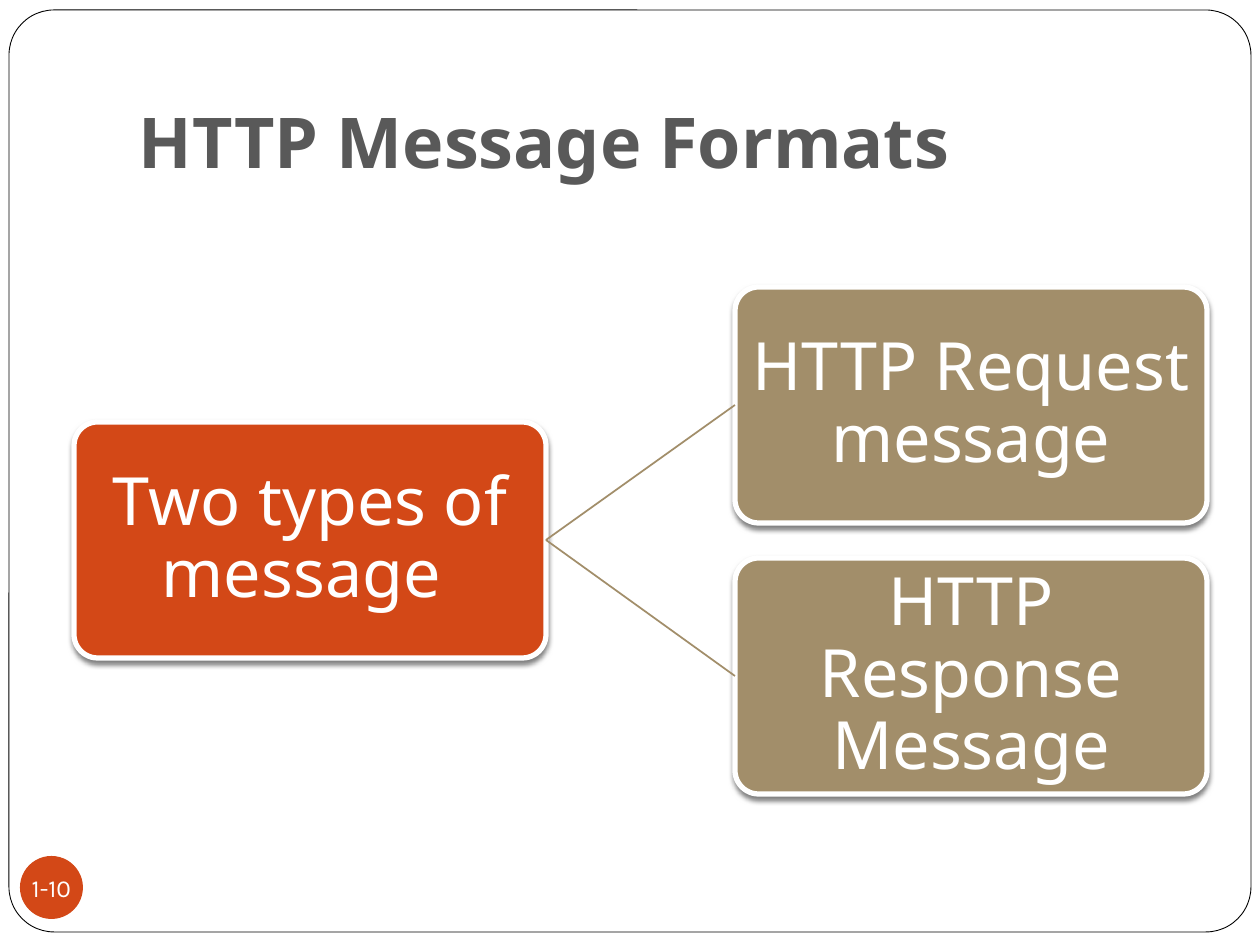
from lxml.etree import SubElement
from pptx import Presentation
from pptx.dml.color import RGBColor
from pptx.enum.shapes import MSO_CONNECTOR, MSO_SHAPE
from pptx.enum.text import MSO_ANCHOR, PP_ALIGN
from pptx.oxml.ns import qn
from pptx.util import Emu, Inches, Pt

EMU_PER_PX = 914400 / 126
WHITE, ORANGE, TAN, GRAY, BLACK = "FFFFFF", "D34817", "A28E6A", "595959", "000000"
RIGHT_SIDE, LEFT_SIDE = 3, 1


def px(length):
    return Emu(round(length * EMU_PER_PX))


def color(value):
    return RGBColor.from_string(value)


class SlideBuilder:
    font = "Noto Sans"
    number_font = "Karla"

    def __init__(self, slide):
        self.slide = slide

    def set_text(self, shape, text, size, text_color, inset, anchor=MSO_ANCHOR.MIDDLE,
                 align=PP_ALIGN.CENTER, font=None, bold=False, spacing=1.0, wrap=True):
        frame = shape.text_frame
        frame.word_wrap = wrap
        frame.vertical_anchor = anchor
        frame.margin_left = frame.margin_right = px(inset)
        frame.margin_top = frame.margin_bottom = px(inset)
        paragraph = frame.paragraphs[0]
        paragraph.text = text
        paragraph.alignment = align
        paragraph.line_spacing = spacing
        paragraph.font.name = font or self.font
        paragraph.font.size = Pt(size)
        paragraph.font.bold = bold
        paragraph.font.color.rgb = color(text_color)

    def shape(self, kind, box, fill, line=None, line_width=0, corner=None):
        shape = self.slide.shapes.add_shape(kind, *map(px, box))
        shape.shadow.inherit = False
        shape.fill.solid()
        shape.fill.fore_color.rgb = color(fill)
        if line:
            shape.line.color.rgb = color(line)
            shape.line.width = Pt(line_width)
        else:
            shape.line.fill.background()
        if corner is not None:
            shape.adjustments[0] = corner
        return shape

    def title(self, text, box):
        shape = self.slide.shapes.add_textbox(*map(px, box))
        self.set_text(shape, text, 40, GRAY, 13, MSO_ANCHOR.BOTTOM, PP_ALIGN.LEFT, bold=True)

    def node(self, text, left, top, fill):
        shape = self.shape(MSO_SHAPE.ROUNDED_RECTANGLE, (left, top, 472, 236),
                           fill, WHITE, 3, 0.1)
        self.set_text(shape, text, 38, WHITE, 10, spacing=0.9)
        # Soft shadow straight below
        effects = shape._element.spPr.find(qn("a:effectLst"))
        shadow = SubElement(effects, qn("a:outerShdw"), blurRad=str(Pt(3)),
                            dist=str(Pt(2)), dir="5400000", rotWithShape="0")
        shade = SubElement(shadow, qn("a:srgbClr"), val=BLACK)
        SubElement(shade, qn("a:alpha"), val="50000")
        return shape

    def branch(self, parent, child):
        connector = self.slide.shapes.add_connector(MSO_CONNECTOR.STRAIGHT, 0, 0, 0, 0)
        connector.begin_connect(parent, RIGHT_SIDE)
        connector.end_connect(child, LEFT_SIDE)
        connector.line.color.rgb = color(TAN)
        connector.line.width = Pt(1)
        SubElement(connector._element.spPr, qn("a:effectLst"))

    def page_number(self, text, box):
        shape = self.shape(MSO_SHAPE.OVAL, box, ORANGE)
        self.set_text(shape, text, 14, WHITE, 0, font=self.number_font, wrap=False)


def main():
    presentation = Presentation()
    presentation.slide_width = Inches(10)
    presentation.slide_height = Inches(7.5)
    builder = SlideBuilder(presentation.slides.add_slide(presentation.slide_layouts[6]))

    # Frame and title
    builder.shape(MSO_SHAPE.ROUNDED_RECTANGLE, (9, 10, 1242, 922), WHITE, BLACK, 0.5, 0.049)
    builder.title("HTTP Message Formats", (126, 38, 1071, 157))

    # Tree of message types
    root = builder.node("Two types of message ", 74, 422, ORANGE)
    for row, text in enumerate(("HTTP Request message", "HTTP Response Message")):
        builder.branch(root, builder.node(text, 735, 287 + row * 271, TAN))

    # Page number
    builder.page_number("1-10", (20, 856, 63, 63))

    presentation.save("out.pptx")


if __name__ == "__main__":
    main()
